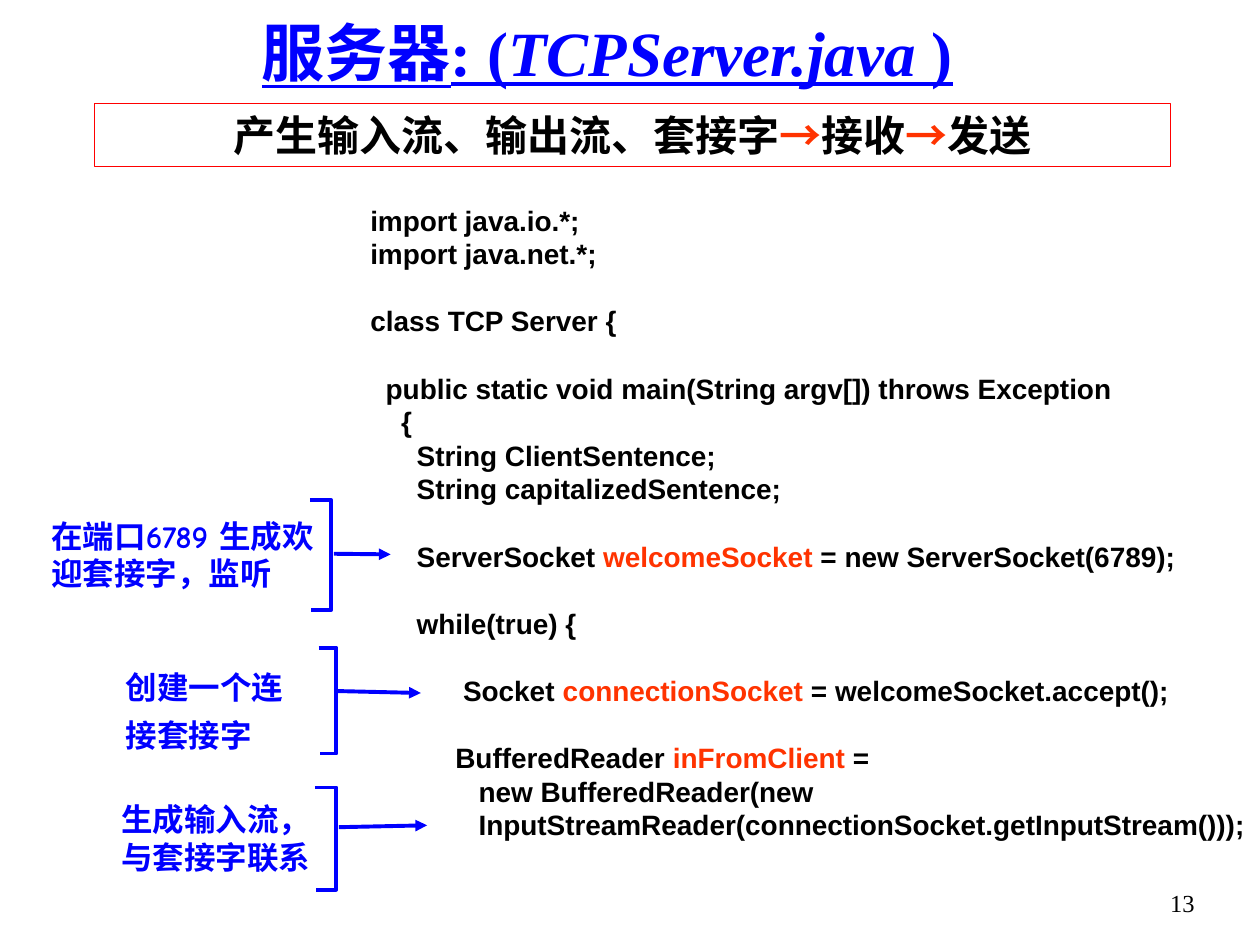
from lxml.etree import SubElement
from pptx import Presentation
from pptx.dml.color import RGBColor
from pptx.enum.shapes import MSO_CONNECTOR, MSO_SHAPE
from pptx.enum.text import MSO_ANCHOR, PP_ALIGN
from pptx.oxml.ns import qn
from pptx.util import Inches, Pt

COLORS = {"blue": "0000FF", "red": "FF0000", "orange": "FF3300", "black": "000000"}
CJK = "Noto Sans CJK SC"
COLS, ROWS = 100, 75
WIDTH, HEIGHT = Inches(10), Inches(7.5)
CODE_PITCH = 19.2

# Code lines; accented words stand between bars, empty strings are blank lines
CODE = """import java.io.*;
import java.net.*;

class TCP Server {

  public static void main(String argv[]) throws Exception
    {
      String ClientSentence;
      String capitalizedSentence;

      ServerSocket |welcomeSocket| = new ServerSocket(6789);

      while(true) {

            Socket |connectionSocket| = welcomeSocket.accept();

           BufferedReader |inFromClient |=
              new BufferedReader(new
              InputStreamReader(connectionSocket.getInputStream()));""".split("\n")

# Label text, box, alignment, line pitch, bracket (left, top, right, bottom), arrow
NOTES = [
    ("在端口6789 生成欢迎套接字，监听", (3.1, 40.5, 22.9, 7), PP_ALIGN.LEFT, None,
     (24.6, 39.7, 26.3, 48.4), (26.5, 43.95, 31, 44)),
    ("创建一个连接套接字", (9, 52, 15, 8), PP_ALIGN.LEFT, 27.4,
     (25.3, 51.4, 26.7, 59.8), (26.8, 54.85, 33.4, 55)),
    ("生成输入流，与套接字联系", (7.7, 63, 17.9, 7), PP_ALIGN.RIGHT, None,
     (25, 62.5, 26.7, 70.6), (26.9, 65.65, 33.9, 65.5)),
]


def col(n):
    return round(WIDTH * n / COLS)


def row(n):
    return round(HEIGHT * n / ROWS)


def box(left, top, width, height):
    return col(left), row(top), col(width), row(height)


def rgb(name):
    return RGBColor.from_string(COLORS[name])


def add_run(p, text, color, font, **formats):
    r = p.add_run()
    r.text = text
    r.font.name = font
    r.font.color.rgb = rgb(color)
    for key, value in formats.items():
        setattr(r.font, key, value)
    SubElement(r.font._element, qn("a:ea")).set("typeface", CJK)


def set_frame(tf, wrap=True, anchor=MSO_ANCHOR.MIDDLE):
    for key, value in {"word_wrap": wrap, "vertical_anchor": anchor}.items():
        setattr(tf, key, value)
    return tf


def add_text(s, area, wrap=True, anchor=MSO_ANCHOR.MIDDLE):
    return set_frame(s.shapes.add_textbox(*box(*area)).text_frame, wrap, anchor)


def style_line(sp, color, width):
    sp.line.color.rgb = rgb(color)
    sp.line.width = Pt(width)


def add_title(s):
    p = add_text(s, (5.7, 0, 85, 8.2)).paragraphs[0]
    p.alignment = PP_ALIGN.CENTER
    for text, italic in (("服务器: (", False), ("TCPServer.java", True), (" )", False)):
        add_run(p, text, "blue", "Times New Roman", size=Pt(36), bold=True,
                underline=True, italic=italic)


def add_summary(s):
    sp = s.shapes.add_shape(MSO_SHAPE.RECTANGLE, *box(7.5, 8.2, 85.4, 5))
    sp.shadow.inherit = False
    sp.fill.background()
    style_line(sp, "red", 0.75)
    p = set_frame(sp.text_frame).paragraphs[0]
    p.alignment = PP_ALIGN.CENTER
    for text in ("产生输入流、输出流、套接字", "→", "接收", "→", "发送"):
        color, font = ("orange", "Arial") if text == "→" else ("black", CJK)
        add_run(p, text, color, font, size=Pt(24), bold=True)


def add_code(s):
    tf = add_text(s, (28.4, 15.6, 78.8, 51.7), wrap=False)
    p, gap = tf.paragraphs[0], 0
    for i, line in enumerate(CODE):
        if not line:
            gap = CODE_PITCH
            continue
        if i:
            p = tf.add_paragraph()
            p.space_before = Pt(gap)
        p.line_spacing = Pt(CODE_PITCH)
        gap = 0
        for j, part in enumerate(line.split("|")):
            add_run(p, part, "orange" if j % 2 else "black", "Arial",
                    size=Pt(16), bold=True)


def add_label(s, text, area, align, pitch):
    p = add_text(s, area).paragraphs[0]
    p.alignment = align
    if pitch:
        p.line_spacing = Pt(pitch)
    add_run(p, text, "blue", "Comic Neue", size=Pt(18), bold=True)


def add_bracket(s, left, top, right, bottom):
    fb = s.shapes.build_freeform(col(left), row(top))
    fb.add_line_segments([(col(right), row(top)), (col(right), row(bottom)),
                          (col(left + 0.1), row(bottom))], close=False)
    sp = fb.convert_to_shape()
    sp.shadow.inherit = False
    sp.fill.background()
    style_line(sp, "blue", 2.25)


def add_arrow(s, x1, y1, x2, y2):
    sp = s.shapes.add_connector(MSO_CONNECTOR.STRAIGHT, col(x1), row(y1), col(x2), row(y2))
    style_line(sp, "blue", 2.25)
    SubElement(sp.line._get_or_add_ln(), qn("a:tailEnd")).set("type", "triangle")
    SubElement(sp._element.spPr, qn("a:effectLst"))


def add_page_number(s):
    p = add_text(s, (90.8, 70, 5, 5), anchor=MSO_ANCHOR.TOP).paragraphs[0]
    p.alignment = PP_ALIGN.RIGHT
    add_run(p, "13", "black", "Times New Roman", size=Pt(14))


def main():
    prs = Presentation()
    prs.slide_width, prs.slide_height = WIDTH, HEIGHT
    s = prs.slides.add_slide(prs.slide_layouts[6])

    # Heading and summary
    add_title(s)
    add_summary(s)

    # Program listing
    add_code(s)

    # Notes that point at code lines
    for text, area, align, pitch, bracket, arrow in NOTES:
        add_label(s, text, area, align, pitch)
        add_bracket(s, *bracket)
        add_arrow(s, *arrow)

    add_page_number(s)
    prs.save("out.pptx")


if __name__ == "__main__":
    main()
